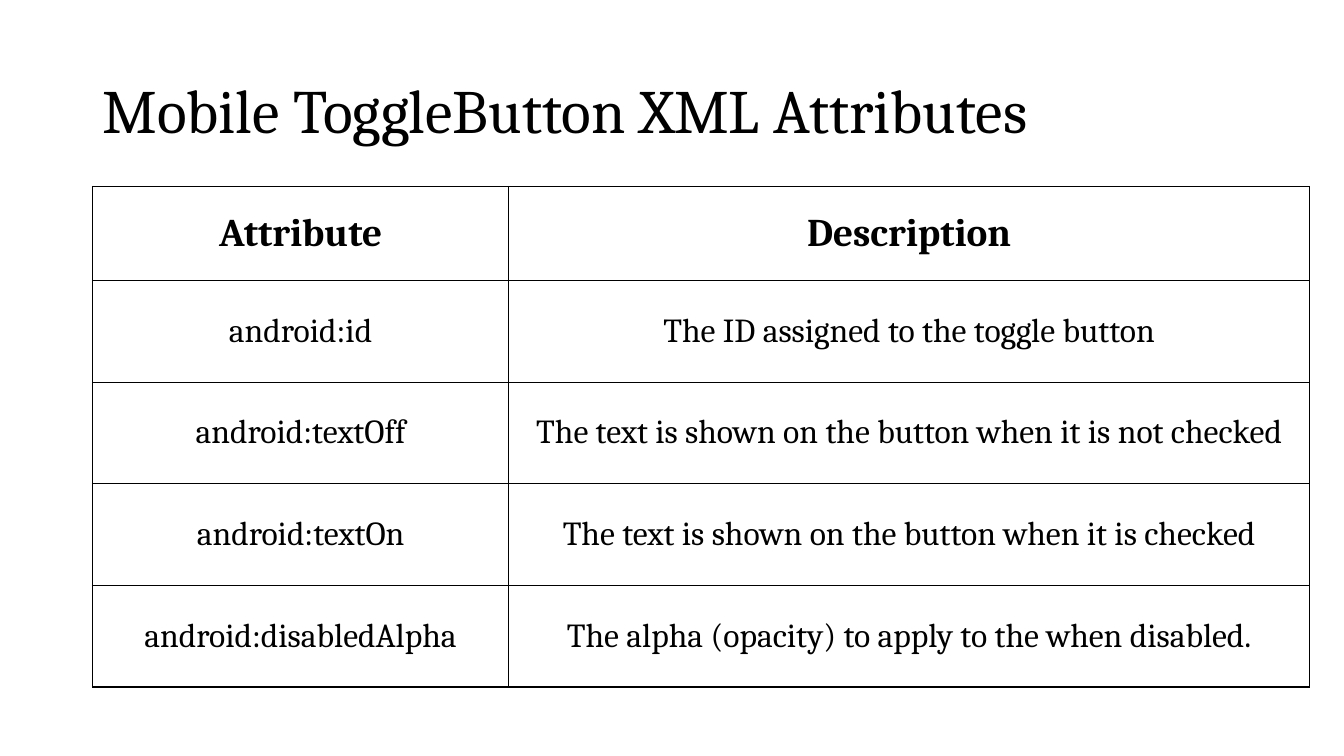
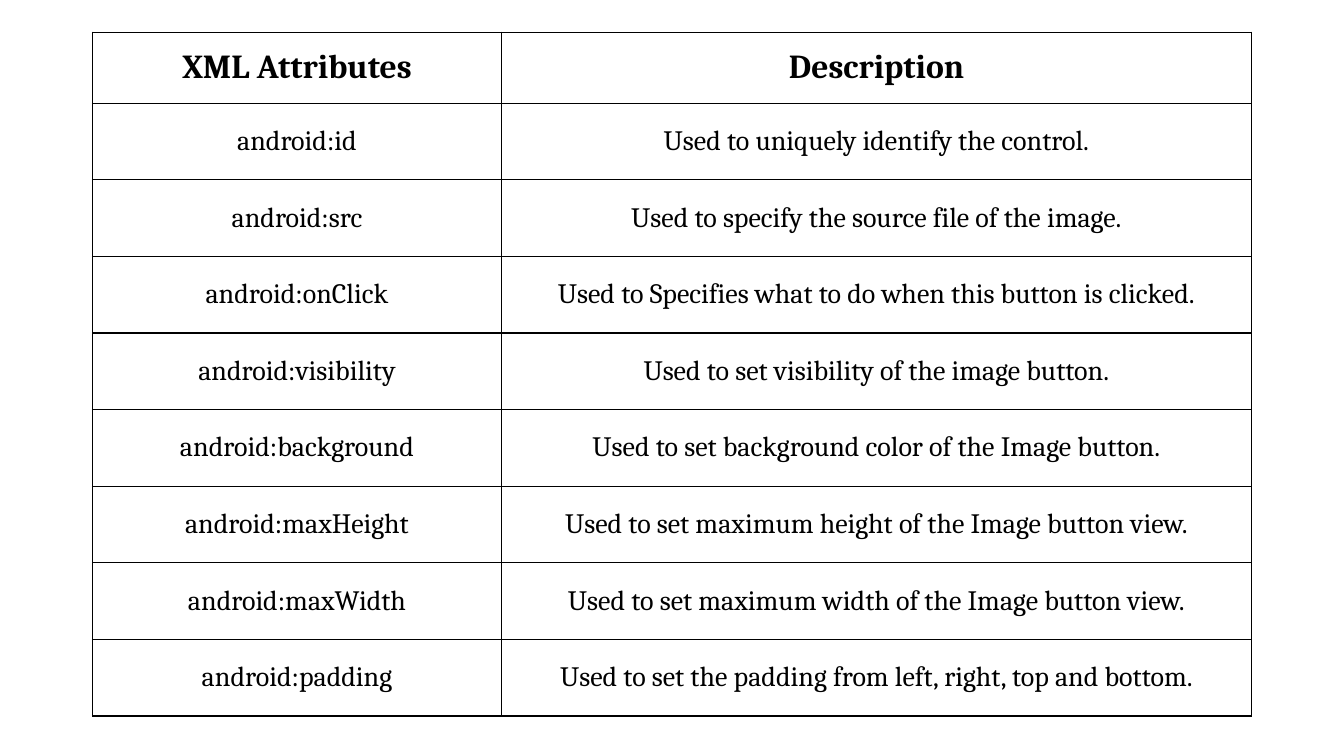
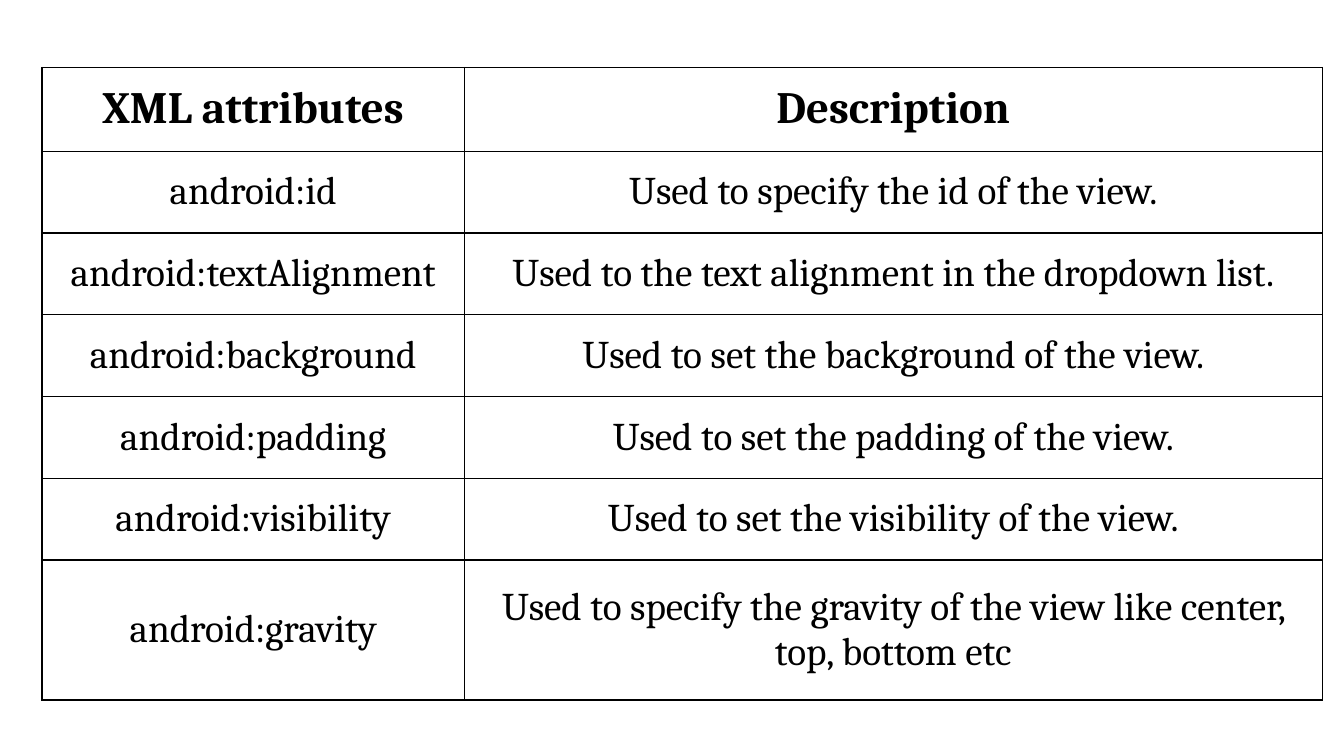
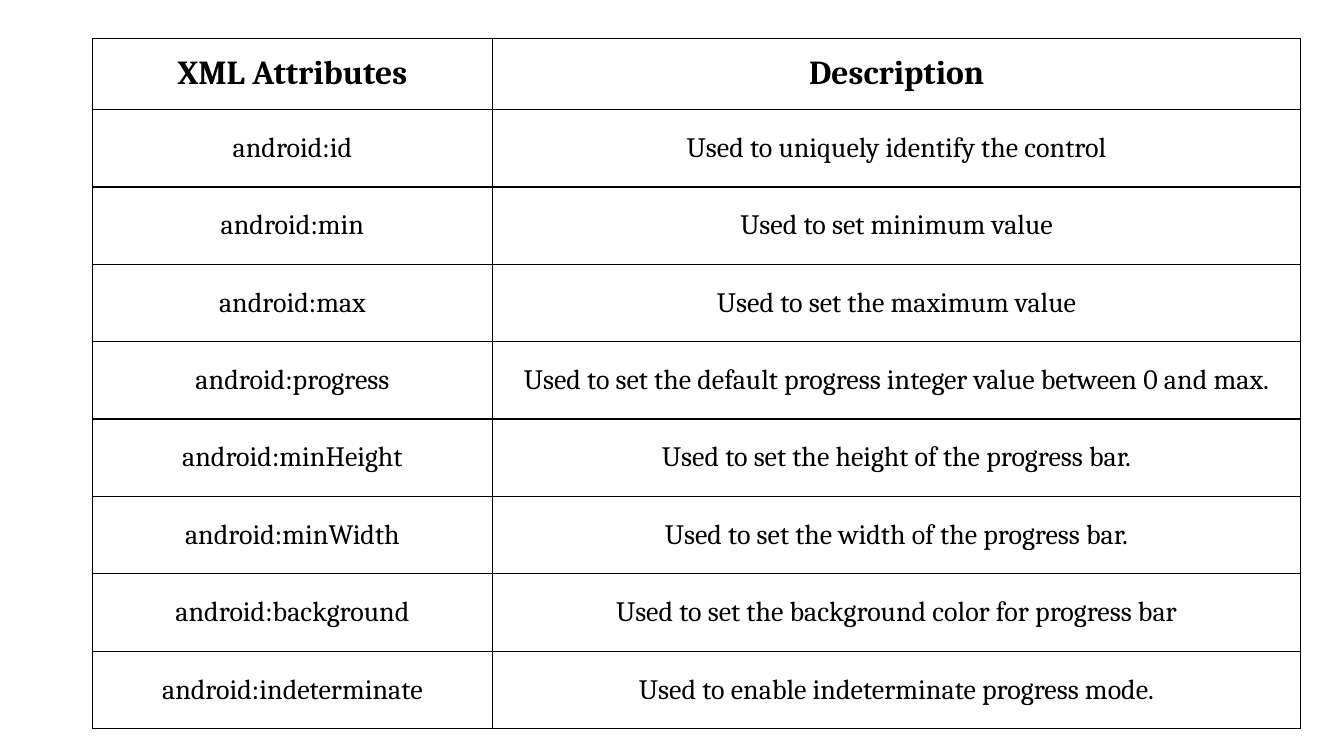
from dataclasses import dataclass

from lxml import etree
from pptx import Presentation
from pptx.dml.color import RGBColor
from pptx.enum import text
from pptx.oxml.ns import qn
from pptx.util import Cm, Pt


@dataclass(frozen=True)
class Theme:
    font: str = "Cambria"
    ink: str = "000000"
    paper: str = "FFFFFF"
    title_size: int = 44
    rule_width: int = 1
    side_margin: float = 0.18
    narrow_margin: float = 0.1
    header_margin: float = 0.18
    body_margin: float = 0.25


THEME = Theme()
TITLE_ONLY, BLANK = 5, 6
LEFT = 2.33

TOGGLE_ROWS = [
    ("Attribute", "Description"),
    ("android:id", "The ID assigned to the toggle button"),
    ("android:textOff", "The text is shown on the button when it is not checked"),
    ("android:textOn", "The text is shown on the button when it is checked"),
    ("android:disabledAlpha", "The alpha (opacity) to apply to the when disabled."),
]
IMAGE_BUTTON_ROWS = [
    ("XML Attributes", "Description"),
    ("android:id", "Used to uniquely identify the control."),
    ("android:src", "Used to specify the source file of the image."),
    ("android:onClick", "Used to Specifies what to do when this button is clicked."),
    ("android:visibility", "Used to set visibility of the image button."),
    ("android:background", "Used to set background color of the Image button."),
    ("android:maxHeight", "Used to set maximum height of the Image button view."),
    ("android:maxWidth", "Used to set maximum width of the Image button view."),
    ("android:padding", "Used to set the padding from left, right, top and bottom."),
]
DROPDOWN_ROWS = [
    ("XML attributes", "Description"),
    ("android:id", "Used to specify the id of the view."),
    ("android:textAlignment", "Used to the text alignment in the dropdown list."),
    ("android:background", "Used to set the background of the view."),
    ("android:padding", "Used to set the padding of the view."),
    ("android:visibility", "Used to set the visibility of the view."),
    ("android:gravity",
     "Used to specify the gravity of the view like center, top, bottom etc"),
]
PROGRESS_ROWS = [
    ("XML Attributes", "Description"),
    ("android:id", "Used to uniquely identify the control"),
    ("android:min", "Used to set minimum value"),
    ("android:max", "Used to set the maximum value"),
    ("android:progress",
     "Used to set the default progress integer value between 0 and max."),
    ("android:minHeight", "Used to set the height of the progress bar."),
    ("android:minWidth", "Used to set the width of the progress bar."),
    ("android:background", "Used to set the background color for progress bar"),
    ("android:indeterminate", "Used to enable indeterminate progress mode."),
]


def write(frame, words, *, size, bold=False, align=text.PP_ALIGN.CENTER, spacing=None):
    para = frame.paragraphs[0]
    para.alignment = align
    if spacing:
        para.line_spacing = spacing
    span = para.add_run()
    span.text = words
    span.font.name = THEME.font
    span.font.size = Pt(size)
    span.font.bold = bold
    span.font.color.rgb = RGBColor.from_string(THEME.ink)


def rule_cell(cell):
    """Draw the four borders, which must precede the fill in the cell's XML."""
    properties = cell._tc.get_or_add_tcPr()
    for place, side in enumerate(("lnL", "lnR", "lnT", "lnB")):
        line = etree.Element(qn(f"a:{side}"), w=str(Pt(THEME.rule_width)))
        fill = etree.SubElement(line, qn("a:solidFill"))
        etree.SubElement(fill, qn("a:srgbClr"), val=THEME.ink)
        properties.insert(place, line)


def format_cell(cell, words, *, size, header, first):
    cell.fill.solid()
    cell.fill.fore_color.rgb = RGBColor.from_string(THEME.paper)
    cell.vertical_anchor = text.MSO_ANCHOR.MIDDLE
    side = THEME.narrow_margin if header and first else THEME.side_margin
    cell.margin_left = cell.margin_right = Cm(side)
    edge = THEME.header_margin if header else THEME.body_margin
    cell.margin_top = cell.margin_bottom = Cm(edge)
    write(cell.text_frame, words, size=size, bold=header)
    rule_cell(cell)


def add_attribute_table(page, rows, *, left=LEFT, top, columns, heights, sizes):
    """Place a table; heights and sizes start with the header and repeat their last value
    for the body, while a third height belongs to the last row."""
    header_height, body_height, *last_height = heights
    row_heights = [header_height] + [body_height] * (len(rows) - 1)
    if last_height:
        row_heights[-1] = last_height[0]
    table = page.shapes.add_table(
        len(rows), len(columns), Cm(left), Cm(top),
        Cm(sum(columns)), Cm(sum(row_heights))).table
    table.horz_banding = False
    for column, width in zip(table.columns, columns):
        column.width = Cm(width)
    for row, height, words in zip(table.rows, row_heights, rows):
        row.height = Cm(height)
        header = words is rows[0]
        for index, cell in enumerate(row.cells):
            format_cell(cell, words[index], size=sizes[0 if header else 1],
                        header=header, first=index == 0)


def set_title(page, words):
    title = page.shapes.title
    title.left, title.top = Cm(LEFT), Cm(1.01)
    title.width, title.height = Cm(29.21), Cm(3.68)
    frame = title.text_frame
    frame.word_wrap = True
    frame.auto_size = text.MSO_AUTO_SIZE.NONE
    frame.vertical_anchor = text.MSO_ANCHOR.MIDDLE
    write(frame, words, size=THEME.title_size, align=text.PP_ALIGN.LEFT, spacing=0.9)


def add_table_slide(deck, rows, *, title=None, **layout):
    page = deck.slides.add_slide(deck.slide_layouts[TITLE_ONLY if title else BLANK])
    if title:
        set_title(page, title)
    add_attribute_table(page, rows, **layout)


def main():
    deck = Presentation()
    deck.slide_width, deck.slide_height = Cm(33.87), Cm(19.05)
    add_table_slide(deck, TOGGLE_ROWS, title="Mobile ToggleButton XML Attributes",
                    top=4.7, columns=(10.49, 20.18), heights=(2.37, 2.56), sizes=(28, 24))
    add_table_slide(deck, IMAGE_BUTTON_ROWS, top=0.81, columns=(10.31, 18.9),
                    heights=(1.79, 1.93), sizes=(24, 20))
    add_table_slide(deck, DROPDOWN_ROWS, left=1.06, top=1.7, columns=(10.64, 21.62),
                    heights=(2.11, 2.06, 3.53), sizes=(32, 28))
    add_table_slide(deck, PROGRESS_ROWS, top=0.96, columns=(10.08, 20.37),
                    heights=(1.8, 1.95), sizes=(24, 20))
    deck.save("out.pptx")


if __name__ == "__main__":
    main()
